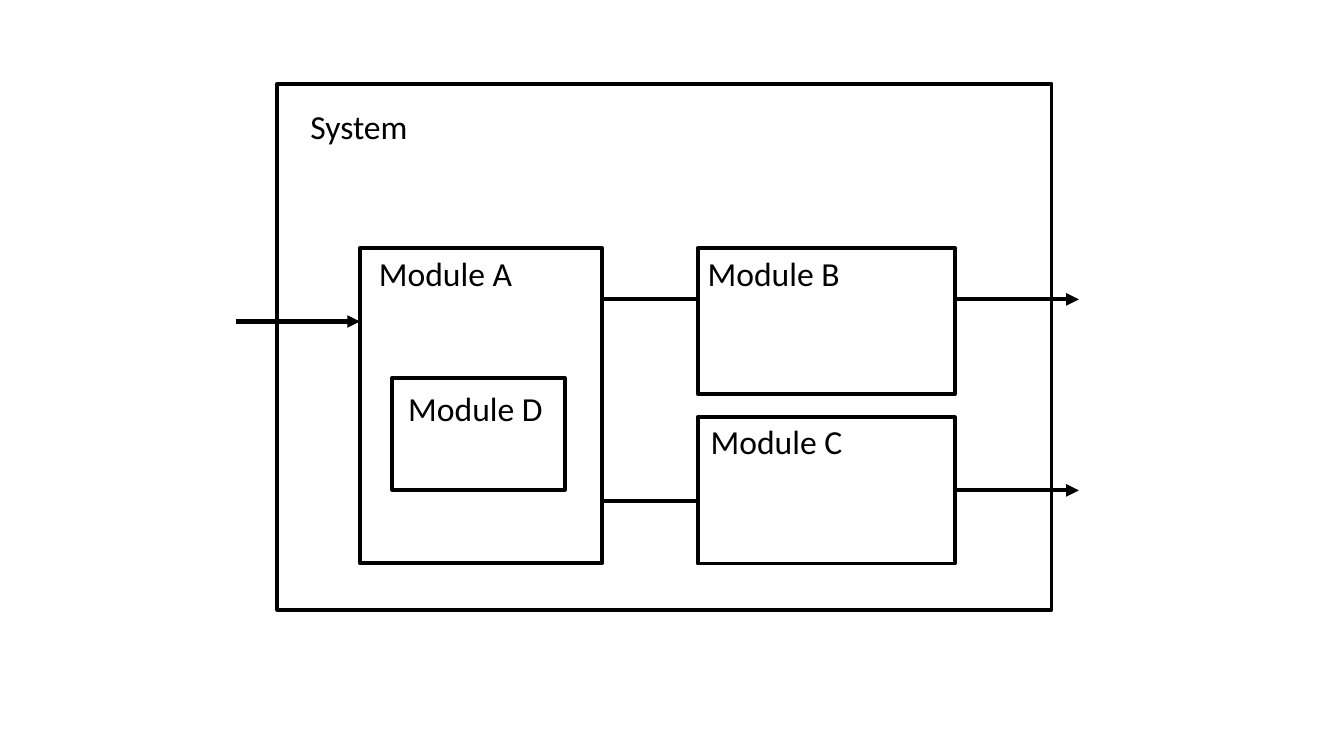
from lxml import etree
from pptx import Presentation
from pptx.dml.color import RGBColor
from pptx.enum import shapes, text
from pptx.oxml.ns import qn
from pptx.util import Inches, Pt

BLACK = RGBColor(0x00, 0x00, 0x00)
RIGHT_SIDE = 3


class Diagram:
    font = "Calibri"
    font_size = Pt(24)
    box_line = Pt(2.75)
    signal_line = Pt(3)

    def __init__(self, slide):
        self.slide = slide

    def box(self, left, top, width, height):
        box = self.slide.shapes.add_shape(
            shapes.MSO_SHAPE.RECTANGLE,
            Inches(left), Inches(top), Inches(width), Inches(height))
        box.shadow.inherit = False
        box.fill.background()
        box.line.color.rgb = BLACK
        box.line.width = self.box_line
        return box

    def label(self, wording, left, top, width):
        label = self.slide.shapes.add_textbox(
            Inches(left), Inches(top), Inches(width), Inches(0.5))
        frame = label.text_frame
        frame.text = wording
        frame.word_wrap = False
        frame.auto_size = text.MSO_AUTO_SIZE.SHAPE_TO_FIT_TEXT
        font = frame.paragraphs[0].runs[0].font
        font.name = self.font
        font.size = self.font_size
        font.color.rgb = BLACK

    def signal(self, start, end, y, arrow=False):
        """Draw a horizontal line at height y, with an arrowhead at its end if asked."""
        signal = self.slide.shapes.add_connector(
            shapes.MSO_CONNECTOR.STRAIGHT,
            Inches(start), Inches(y), Inches(end), Inches(y))
        signal.line.color.rgb = BLACK
        signal.line.width = self.signal_line
        if arrow:
            etree.SubElement(signal.line._get_or_add_ln(), qn("a:tailEnd"), type="triangle")
        etree.SubElement(signal._element.spPr, qn("a:effectLst"))
        return signal


def main():
    deck = Presentation()
    deck.slide_width, deck.slide_height = Inches(13.33), Inches(7.5)
    diagram = Diagram(deck.slides.add_slide(deck.slide_layouts[6]))

    a_left, a_width = 3.57, 2.4
    a_right = a_left + a_width
    output_left, output_width, output_height = 6.92, 2.55, 1.45
    output_right = output_left + output_width
    b_top, c_top = 2.46, 4.14
    c_middle = c_top + output_height / 2
    signal_length = 1.23

    diagram.box(2.75, 0.83, 7.68, 5.22)
    diagram.box(a_left, b_top, a_width, 3.13)
    module_c = diagram.box(output_left, c_top, output_width, output_height)
    diagram.box(output_left, b_top, output_width, output_height)
    diagram.box(3.89, 3.75, 1.71, 1.11)

    for wording, left, top, width in (
        ("System", 2.98, 1, 1.17),
        ("Module A", 3.66, b_top, 1.54),
        ("Module D", 3.95, 3.8, 1.55),
        ("Module B", output_left, b_top, 1.52),
        ("Module C", 6.95, 4.13, 1.52),
    ):
        diagram.label(wording, left, top, width)

    for y in (2.97, 4.97):
        diagram.signal(a_right, output_left, y)
    diagram.signal(output_right, output_right + signal_length, 2.97, arrow=True)
    c_output = diagram.signal(output_right, output_right + signal_length, c_middle, arrow=True)
    c_output.begin_connect(module_c, RIGHT_SIDE)
    diagram.signal(a_left - signal_length, a_left, 3.19, arrow=True)

    deck.save("out.pptx")


if __name__ == "__main__":
    main()
